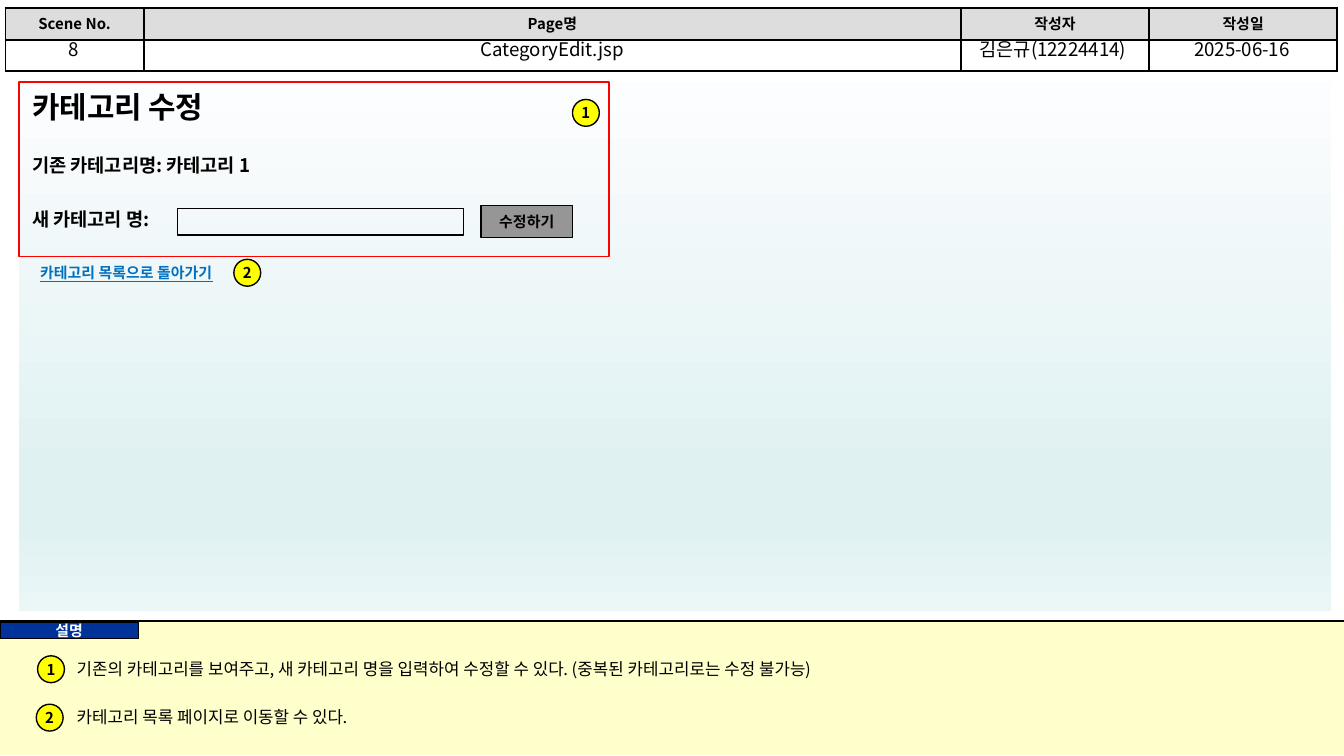
from typing import NamedTuple

from lxml import etree
from pptx import Presentation
from pptx import util as u
from pptx.dml.color import RGBColor
from pptx.enum import shapes, text
from pptx.oxml import ns

FONT = "Noto Sans CJK KR"
COLORS = {
    "black": "000000", "white": "FFFFFF", "note": "FFFFCC", "header": "DDDDDD",
    "label": "003399", "badge": "FFFF00", "link": "0070C0", "button": "969696",
    "frame": "FF0000",
}
PANEL_STOPS = [(0, "FCFDFE"), (74, "E0F1F2"), (83, "E0F1F2"), (100, "EBF6F7")]


class Area(NamedTuple):
    left: float
    top: float
    width: float
    height: float


class Style(NamedTuple):
    size: float
    bold: bool = False
    color: str = "black"
    underline: bool = False


class Line(NamedTuple):
    words: str
    style: Style
    before: float = 0


class Block(NamedTuple):
    area: Area
    fill: str | None = None
    line: str | None = None
    words: str = ""
    style: Style = Style(8, True)
    kind: shapes.MSO_SHAPE = shapes.MSO_SHAPE.RECTANGLE


def rgb(name: str) -> RGBColor:
    return RGBColor.from_string(COLORS[name])


def place(box, area: Area) -> None:
    box.left, box.top, box.width, box.height = map(u.Inches, area)


def style_para(para, style: Style, align=text.PP_ALIGN.CENTER) -> None:
    para.alignment = align
    for span in para.runs:
        font = span.font
        font.name, font.size = FONT, u.Pt(style.size)
        font.bold, font.underline = style.bold, style.underline
        font.color.rgb = rgb(style.color)
        latin = span._r.rPr.find(ns.qn("a:latin"))
        east = etree.Element(ns.qn("a:ea"), typeface=FONT)
        latin.addnext(east)


def write_centered(box, words: str, style: Style) -> None:
    frame = box.text_frame
    frame.text = words
    frame.word_wrap = False
    frame.auto_size = text.MSO_AUTO_SIZE.NONE
    frame.vertical_anchor = text.MSO_ANCHOR.MIDDLE
    frame.margin_left = frame.margin_right = frame.margin_top = frame.margin_bottom = 0
    style_para(frame.paragraphs[0], style)


def write_list(box, area: Area, lines: list[Line]) -> None:
    place(box, area)
    frame = box.text_frame
    frame.text = "\n".join(line.words for line in lines)
    frame.word_wrap = True
    frame.auto_size = text.MSO_AUTO_SIZE.NONE
    frame.vertical_anchor = text.MSO_ANCHOR.TOP
    frame.margin_top = u.Inches(0.05)
    for para, line in zip(frame.paragraphs, lines):
        style_para(para, line.style, text.PP_ALIGN.LEFT)
        para.space_before = u.Pt(line.before)
        for span in para.runs:
            span._r.rPr.set("kern", "0")
        properties = para._p.get_or_add_pPr()
        properties.set("marL", "0")
        properties.set("indent", "0")
        etree.SubElement(properties, ns.qn("a:buNone"))


def draw_block(page, block: Block) -> None:
    box = page.shapes.add_shape(block.kind, *map(u.Inches, block.area))
    box.shadow.inherit = False
    if block.fill:
        box.fill.solid()
        box.fill.fore_color.rgb = rgb(block.fill)
    else:
        box.fill.background()
    if block.line:
        box.line.color.rgb = rgb(block.line)
        box.line.width = u.Pt(0.75)
    else:
        box.line.fill.background()
    if block.words:
        write_centered(box, block.words, block.style)


def draw_badge(page, number: int, left: float, top: float) -> None:
    draw_block(page, Block(Area(left, top, 0.2, 0.2), "badge", "black", str(number),
                           kind=shapes.MSO_SHAPE.OVAL))


def draw_text(page, area: Area, words: str, style: Style) -> None:
    write_centered(page.shapes.add_textbox(*map(u.Inches, area)), words, style)


def border_cell(cell) -> None:
    properties = cell._tc.get_or_add_tcPr()
    for index, side in enumerate(("lnL", "lnR", "lnT", "lnB")):
        edge = etree.Element(ns.qn(f"a:{side}"), w=str(u.Pt(1)))
        fill = etree.SubElement(edge, ns.qn("a:solidFill"))
        etree.SubElement(fill, ns.qn("a:srgbClr"), val=COLORS["black"])
        properties.insert(index, edge)


def draw_header_table(page) -> None:
    heads = ["Scene No.", "Page명", "작성자", "작성일"]
    widths, heights = [1.03, 6.08, 1.4, 1.4], [0.24, 0.23]
    table = page.shapes.add_table(2, 4, *map(u.Inches, (0.04, 0.06, 9.92, 0.47))).table
    table.first_row = table.horz_banding = False
    for column, width in zip(table.columns, widths):
        column.width = u.Inches(width)
    for row, height in zip(table.rows, heights):
        row.height = u.Inches(height)
    for cell in table.iter_cells():
        cell.margin_top = cell.margin_bottom = u.Inches(0.03)
        cell.fill.background()
        border_cell(cell)
        cell.text_frame.paragraphs[0]._p.get_or_add_endParaRPr().set("sz", "800")
    for cell, head in zip(table.rows[0].cells, heads):
        cell.fill.solid()
        cell.fill.fore_color.rgb = rgb("header")
        cell.text_frame.text = head
        style_para(cell.text_frame.paragraphs[0], Style(8, True))


def fill_panel(panel) -> None:
    panel.fill.gradient()
    panel.fill.gradient_angle = 270
    stops = panel._element.spPr.find(".//" + ns.qn("a:gsLst"))
    for stop in list(stops):
        stops.remove(stop)
    for position, color in PANEL_STOPS:
        stop = etree.SubElement(stops, ns.qn("a:gs"), pos=str(position * 1000))
        etree.SubElement(stop, ns.qn("a:srgbClr"), val=color)


def draw_divider(page, top: float) -> None:
    line = page.shapes.add_connector(shapes.MSO_CONNECTOR.STRAIGHT, 0, u.Inches(top),
                                     u.Inches(10), u.Inches(top))
    line.line.color.rgb = rgb("black")
    line.line.width = u.Pt(0.75)
    etree.SubElement(line._element.spPr, ns.qn("a:effectLst"))


def main() -> None:
    deck = Presentation()
    deck.slide_width = u.Inches(10)
    deck.slide_height = u.Inches(10 * 9 / 16)
    page = deck.slides.add_slide(deck.slide_layouts[3])
    title, panel, notes = list(page.placeholders)[:3]

    draw_block(page, Block(Area(0, 4.62, 10, 1), "note"))
    draw_header_table(page)
    draw_divider(page, 4.62)
    draw_block(page, Block(Area(0, 4.63, 1.03, 0.12), "label", "black", "설명",
                           Style(8, True, "white")))

    for box in (panel, notes, title):
        page.shapes._spTree.append(box._element)
    fill_panel(panel)
    write_list(panel, Area(0.14, 0.61, 9.76, 3.94), [
        Line("카테고리 수정", Style(16, True)),
        Line("기존 카테고리명: 카테고리 1", Style(10, True), 15.7),
        Line("새 카테고리 명:", Style(10, True), 16.7),
    ])
    write_list(notes, Area(0.47, 4.85, 9.41, 0.23), [
        Line("기존의 카테고리를 보여주고, 새 카테고리 명을 입력하여 수정할 수 있다. "
             "(중복된 카테고리로는 수정 불가능)", Style(9)),
        Line("카테고리 목록 페이지로 이동할 수 있다.", Style(9), 15),
    ])
    place(title, Area(1.08, 0.27, 6.06, 0.19))
    write_centered(title, "CategoryEdit.jsp", Style(10))
    for left, width, words in [(0.02, 1.06, "8"), (7.15, 1.37, "김은규(12224414)"),
                               (8.58, 1.32, "2025-06-16")]:
        draw_text(page, Area(left, 0.27, width, 0.19), words, Style(10))

    for number, left, top in [(1, 0.28, 4.88), (2, 0.27, 5.24), (1, 4.26, 0.74), (2, 1.74, 1.93)]:
        draw_badge(page, number, left, top)
    draw_text(page, Area(0.14, 1.91, 1.6, 0.24), "카테고리 목록으로 돌아가기",
              Style(8, True, "link", True))
    for block in [
        Block(Area(1.32, 1.55, 2.13, 0.2), line="black"),
        Block(Area(3.58, 1.53, 0.68, 0.24), "button", "black", "수정하기"),
        Block(Area(0.14, 0.61, 4.39, 1.3), line="frame"),
    ]:
        draw_block(page, block)
    deck.save("out.pptx")


if __name__ == "__main__":
    main()
